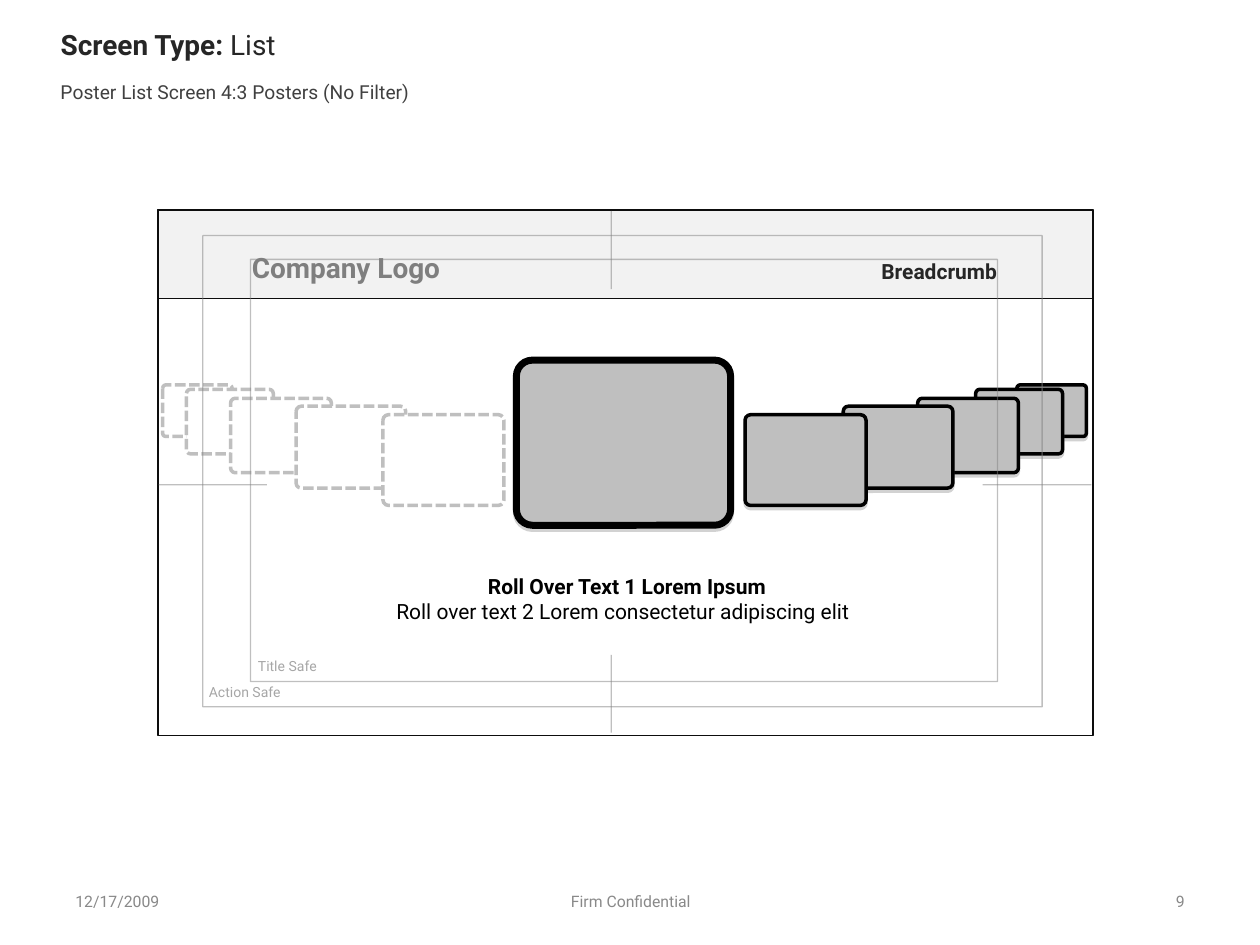
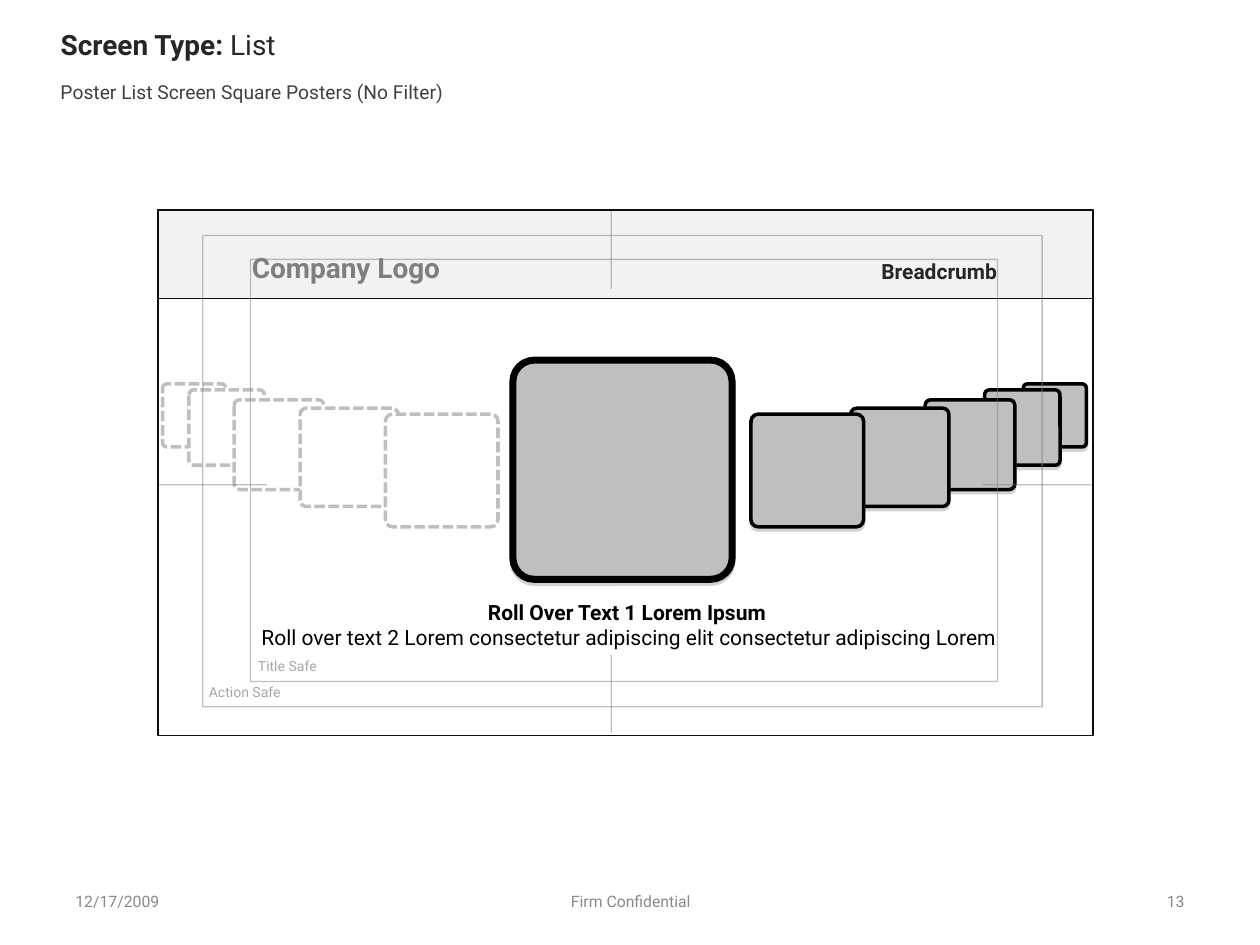
from dataclasses import dataclass
from typing import NamedTuple

from lxml.etree import SubElement
from pptx import Presentation
from pptx.dml.color import RGBColor
from pptx.enum.dml import MSO_LINE
from pptx.enum.shapes import MSO_CONNECTOR, MSO_SHAPE
from pptx.enum.text import MSO_ANCHOR, PP_ALIGN
from pptx.oxml.ns import qn
from pptx.util import Cm, Pt

# Colours
BLACK = RGBColor(0x00, 0x00, 0x00)
WHITE = RGBColor(0xFF, 0xFF, 0xFF)
FRAME_LINE = RGBColor(0x0D, 0x0D, 0x0D)
HEADING = RGBColor(0x26, 0x26, 0x26)
SUBTITLE = RGBColor(0x40, 0x40, 0x40)
LOGO = RGBColor(0x7F, 0x7F, 0x7F)
GUIDE = RGBColor(0x80, 0x80, 0x80)
FOOTER = RGBColor(0x89, 0x89, 0x89)
GUIDE_LABEL = RGBColor(0xA6, 0xA6, 0xA6)
POSTER = RGBColor(0xBF, 0xBF, 0xBF)
BAND = RGBColor(0xF2, 0xF2, 0xF2)

FONT = "Roboto"
MIRROR_AXIS = 12.59  # the two poster rows mirror each other here (cm)


class Box(NamedTuple):
    """Left, top, width and height in centimetres."""
    left: float
    top: float
    width: float
    height: float

    def lengths(self) -> list:
        return [Cm(value) for value in self]

    def mirrored(self) -> "Box":
        return self._replace(left=2 * MIRROR_AXIS - self.left - self.width)


class Run(NamedTuple):
    text: str
    size: float
    color: RGBColor
    bold: bool = False


@dataclass(frozen=True)
class Label:
    run: Run
    box: Box
    align: PP_ALIGN = PP_ALIGN.LEFT
    anchor: MSO_ANCHOR = MSO_ANCHOR.TOP


@dataclass(frozen=True)
class Outline:
    color: RGBColor
    width: float
    dash: MSO_LINE = MSO_LINE.SOLID


@dataclass(frozen=True)
class Screen:
    number: str
    subtitle: str
    selected: Box
    queue: list[Box]  # left row, farthest poster first
    caption_top: float
    detail: str
    detail_left: float
    detail_width: float


# Shared parts of the TV screen
FRAME = Box(3.18, 4.24, 18.85, 10.59)
HEADER_BAND = FRAME._replace(height=1.78)
SAFE_AREAS = [Box(4.09, 4.75, 16.92, 9.5), Box(5.05, 5.23, 15.06, 8.51)]
CENTRE_MARKS = [  # x1, y1, x2, y2
    (3.2, 9.77, 5.38, 9.77),
    (19.81, 9.77, 22, 9.77),
    (12.32, 4.25, 12.32, 5.83),
    (12.32, 13.2, 12.32, 14.77),
]
TITLE_BOX = Box(0.97, 0.33, 22.86, 1.12)
TITLE_RUNS = [Run("Screen Type: ", 16, HEADING, True), Run("List", 16, HEADING)]
HEADER_LABELS = [
    Label(Run("Company Logo", 16, LOGO, True), Box(4.83, 4.93, 5, 0.94)),
    Label(Run("Breadcrumb", 12, HEADING, True), Box(16.4, 5.08, 3.95, 0.76),
          PP_ALIGN.RIGHT),
]
GUIDE_LABELS = [
    Label(Run("Action Safe", 8, GUIDE_LABEL), Box(3.96, 13.61, 2.72, 0.69),
          anchor=MSO_ANCHOR.MIDDLE),
    Label(Run("Title Safe", 8, GUIDE_LABEL), Box(4.95, 13.08, 2.72, 0.69),
          anchor=MSO_ANCHOR.MIDDLE),
]

SCREENS = [
    Screen(
        number="9",
        subtitle="Poster List Screen 4:3 Posters (No Filter)",
        selected=Box(10.41, 7.26, 4.32, 3.33),
        queue=[
            Box(3.28, 7.76, 1.4, 1.04),
            Box(3.76, 7.85, 1.75, 1.3),
            Box(4.65, 8.03, 2.03, 1.5),
            Box(5.97, 8.19, 2.21, 1.65),
            Box(7.72, 8.36, 2.44, 1.83),
        ],
        caption_top=11.43,
        detail="Roll over text 2 Lorem consectetur adipiscing elit",
        detail_left=7.06,
        detail_width=11,
    ),
    Screen(
        number="13",
        subtitle="Poster List Screen Square Posters (No Filter)",
        selected=Box(10.34, 7.26, 4.42, 4.42),
        queue=[
            Box(3.28, 7.74, 1.27, 1.27),
            Box(3.81, 7.86, 1.52, 1.52),
            Box(4.72, 8.06, 1.81, 1.81),
            Box(6.05, 8.23, 1.98, 1.98),
            Box(7.77, 8.35, 2.27, 2.27),
        ],
        caption_top=11.96,
        detail="Roll over text 2 Lorem consectetur adipiscing elit "
               "consectetur adipiscing Lorem",
        detail_left=4.86,
        detail_width=15.65,
    ),
]


def set_attributes(target, values: dict) -> None:
    for name, value in values.items():
        setattr(target, name, value)


def write_text(shape, runs: list[Run], align: PP_ALIGN, anchor: MSO_ANCHOR) -> None:
    set_attributes(shape.text_frame, {"word_wrap": True, "vertical_anchor": anchor})
    paragraph = shape.text_frame.paragraphs[0]
    paragraph.alignment = align
    for run in runs:
        text_run = paragraph.add_run()
        text_run.text = run.text
        set_attributes(text_run.font,
                       {"name": FONT, "size": Pt(run.size), "bold": run.bold})
        text_run.font.color.rgb = run.color


def add_label(slide, label: Label) -> None:
    shape = slide.shapes.add_textbox(*label.box.lengths())
    write_text(shape, [label.run], label.align, label.anchor)


def set_outline(shape, outline: Outline) -> None:
    set_attributes(shape.line,
                   {"width": Pt(outline.width), "dash_style": outline.dash})
    shape.line.color.rgb = outline.color


def fade_line(shape) -> None:
    """Make the line half transparent."""
    for color in shape.element.xpath(".//a:ln//a:srgbClr"):
        SubElement(color, qn("a:alpha"), val="50000")


def add_box(slide, box: Box, outline: Outline, fill: RGBColor | None = None,
            rounding: float | None = None):
    kind = MSO_SHAPE.RECTANGLE if rounding is None else MSO_SHAPE.ROUNDED_RECTANGLE
    shape = slide.shapes.add_shape(kind, *box.lengths())
    shape.shadow.inherit = False
    if rounding is not None:
        shape.adjustments[0] = rounding
    if fill is None:
        shape.fill.background()
    else:
        shape.fill.solid()
        shape.fill.fore_color.rgb = fill
    set_outline(shape, outline)
    return shape


def add_poster(slide, box: Box, line_width: float, rounding: float) -> None:
    shape = add_box(slide, box, Outline(BLACK, line_width), POSTER, rounding)
    effects = shape.element.spPr.find(qn("a:effectLst"))
    shadow = SubElement(effects, qn("a:outerShdw"), blurRad="0",
                        dist=str(Pt(1.8)), dir="5400000", rotWithShape="0")
    color = SubElement(shadow, qn("a:srgbClr"), val=str(GUIDE))
    SubElement(color, qn("a:alpha"), val="35000")


def add_posters(slide, screen: Screen) -> None:
    for box in screen.queue:
        add_poster(slide, box.mirrored(), 2, 0.062)
    add_poster(slide, screen.selected, 4, 0.098)
    for box in screen.queue:
        add_box(slide, box, Outline(POSTER, 2, MSO_LINE.SQUARE_DOT), WHITE, 0.062)


def add_guides(slide) -> None:
    for area in SAFE_AREAS:
        fade_line(add_box(slide, area, Outline(GUIDE, 0.75)))
    for mark in CENTRE_MARKS:
        connector = slide.shapes.add_connector(
            MSO_CONNECTOR.STRAIGHT, *[Cm(value) for value in mark])
        set_outline(connector, Outline(GUIDE, 0.75))
        fade_line(connector)
        SubElement(connector.element.spPr, qn("a:effectLst"))
    for label in GUIDE_LABELS:
        add_label(slide, label)


def add_captions(slide, screen: Screen) -> None:
    headline = Run("Roll Over Text 1 Lorem Ipsum", 12, BLACK, True)
    add_label(slide, Label(headline, Box(8.64, screen.caption_top, 8, 0.76),
                           PP_ALIGN.CENTER))
    detail_box = Box(screen.detail_left, screen.caption_top + 0.51,
                     screen.detail_width, 0.76)
    add_label(slide, Label(Run(screen.detail, 12, BLACK), detail_box,
                           PP_ALIGN.CENTER))


def add_heading(slide, subtitle: str) -> None:
    title = slide.shapes.title
    set_attributes(title, dict(zip(("left", "top", "width", "height"),
                                   TITLE_BOX.lengths())))
    write_text(title, TITLE_RUNS, PP_ALIGN.LEFT, MSO_ANCHOR.MIDDLE)
    add_label(slide, Label(Run(subtitle, 11, SUBTITLE), Box(0.97, 1.5, 10, 0.74)))


def add_footer(slide, number: str) -> None:
    parts = [
        ("12/17/2009", 1.27, 5.92, PP_ALIGN.LEFT),
        ("Firm Confidential", 8.69, 8.05, PP_ALIGN.CENTER),
        (number, 18.21, 5.92, PP_ALIGN.RIGHT),
    ]
    for text, left, width, align in parts:
        add_label(slide, Label(Run(text, 9, FOOTER), Box(left, 17.65, width, 1.02),
                               align, MSO_ANCHOR.MIDDLE))


def add_screen(presentation, screen: Screen) -> None:
    slide = presentation.slides.add_slide(presentation.slide_layouts[5])
    add_heading(slide, screen.subtitle)
    add_footer(slide, screen.number)
    # Screen frame and header
    add_box(slide, HEADER_BAND, Outline(FRAME_LINE, 1), BAND)
    add_box(slide, FRAME, Outline(FRAME_LINE, 1))
    for label in HEADER_LABELS:
        add_label(slide, label)
    # Screen content, with the guides on top
    add_posters(slide, screen)
    add_captions(slide, screen)
    add_guides(slide)


def main() -> None:
    presentation = Presentation()
    set_attributes(presentation, {"slide_width": Cm(25.4), "slide_height": Cm(19.05)})
    for screen in SCREENS:
        add_screen(presentation, screen)
    presentation.save("out.pptx")


if __name__ == "__main__":
    main()
